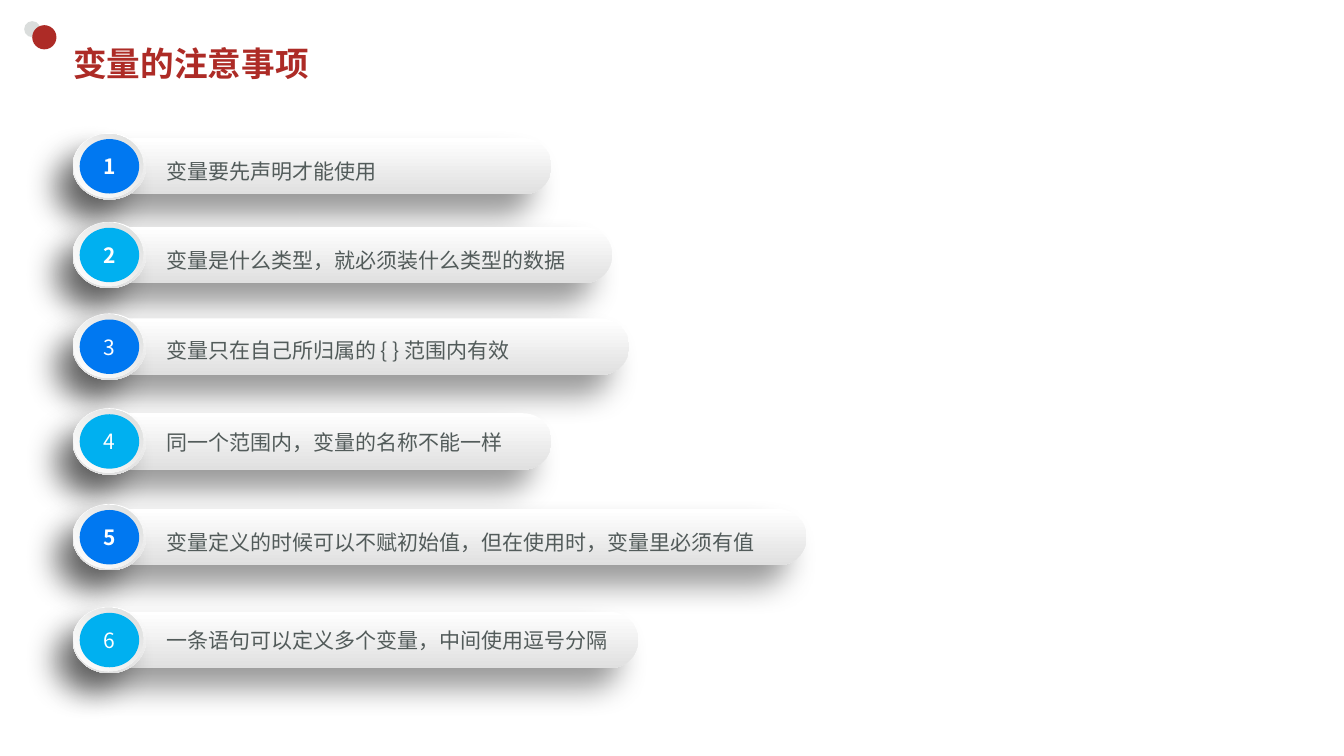
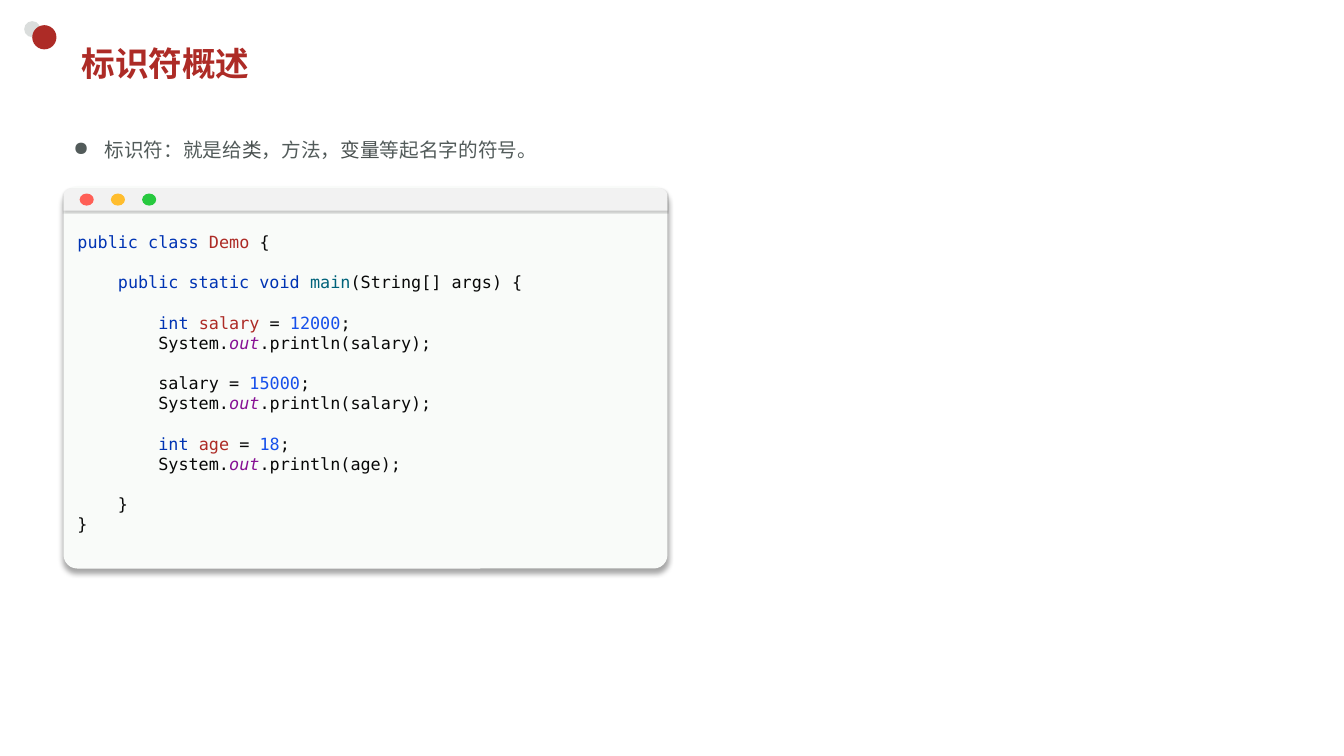
from lxml.etree import SubElement
from pptx import Presentation
from pptx.dml.color import RGBColor
from pptx.enum.lang import MSO_LANGUAGE_ID
from pptx.enum.shapes import MSO_SHAPE
from pptx.enum.text import MSO_ANCHOR, PP_ALIGN
from pptx.oxml.ns import qn
from pptx.util import Inches, Pt

RED = RGBColor(0xAD, 0x2B, 0x26)
DOT_GREY = RGBColor(0xDA, 0xDD, 0xDC)
WHITE = RGBColor(0xFF, 0xFF, 0xFF)
BAR_GREY = RGBColor(0xE0, 0xE0, 0xE0)
RING_GREY = RGBColor(0xDD, 0xDE, 0xDD)
BLUE = RGBColor(0x00, 0x78, 0xF1)
CYAN = RGBColor(0x00, 0xB0, 0xF0)
TEXT_GREY = RGBColor(0x52, 0x5B, 0x5A)
TERM_GREY = RGBColor(0x49, 0x50, 0x4F)
WINDOW = RGBColor(0xF9, 0xFB, 0xF9)
WINDOW_BAR = RGBColor(0xF2, 0xF2, 0xF2)
BUTTONS = [RGBColor(0xFF, 0x5F, 0x56), RGBColor(0xFF, 0xBD, 0x2E), RGBColor(0x27, 0xC9, 0x3F)]
CODE_INK = RGBColor(0x08, 0x08, 0x08)
KEYWORD = RGBColor(0x00, 0x33, 0xB3)
METHOD = RGBColor(0x00, 0x62, 0x7A)
NUMBER = RGBColor(0x17, 0x50, 0xEB)
FIELD = RGBColor(0x87, 0x10, 0x94)

MONO = "DejaVu Sans Mono"
SANS = "Noto Sans CJK JP"
MARGIN = 0.63

# Notes: text, bar top, bar width, text offset from bar top, bold number
NOTES = [
    ("变量要先声明才能使用", 1.37, 4.6, 0.15, True),
    ("变量是什么类型，就必须装什么类型的数据", 2.25, 5.2, 0.16, True),
    ("变量只在自己所归属的 { } 范围内有效", 3.16, 5.37, 0.14, False),
    ("同一个范围内，变量的名称不能一样", 4.1, 4.6, 0.11, False),
    ("变量定义的时候可以不赋初始值，但在使用时，变量里必须有值", 5.05, 7.13, 0.15, True),
    ("一条语句可以定义多个变量，中间使用逗号分隔", 6.07, 5.46, 0.11, False),
]

DEFINITION = [
    ("标识符：就是给", TEXT_GREY), ("类", TERM_GREY), ("，方法，", TEXT_GREY),
    ("变量", TERM_GREY), ("等起名字的符号。", TEXT_GREY),
]

# Code, with | between differently coloured pieces
CODE = """\
public class |Demo |{

    |public static void |main|(String[] args) {

        |int |salary| = |12000|;
        System.|out|.println(salary);

        salary = |15000|;
        System.|out|.println(salary);

        |int |age| = |18|;
        System.|out|.println(age);

    }
}"""
CODE_COLORS = {
    "public class": KEYWORD, "public static void": KEYWORD, "int": KEYWORD,
    "Demo": RED, "salary": RED, "age": RED, "main": METHOD, "out": FIELD,
    "12000": NUMBER, "15000": NUMBER, "18": NUMBER,
}


def add_runs(p, text, size=15, font=SANS, color=TEXT_GREY, bold=False, italic=False):
    """Add one formatted run to a paragraph."""
    r = p.add_run()
    r.text = text
    f = r.font
    f.size, f.name, f.bold, f.italic = Pt(size), font, bold, italic
    f.color.rgb = color
    f.language_id = MSO_LANGUAGE_ID.SIMPLIFIED_CHINESE
    SubElement(f._element, qn("a:ea")).set("typeface", SANS)


def add_text(shapes, box, text="", anchor=MSO_ANCHOR.TOP, **fmt):
    """Add a wrapped text box and return its first paragraph."""
    tf = shapes.add_textbox(*map(Inches, box)).text_frame
    tf.word_wrap = True
    tf.vertical_anchor = anchor
    p = tf.paragraphs[0]
    if text:
        add_runs(p, text, **fmt)
    return p


def add_shadow(sp, alpha, blur, dist, angle):
    effects = sp._element.spPr.find(qn("a:effectLst"))
    shadow = SubElement(effects, qn("a:outerShdw"), blurRad=str(Pt(blur)),
                        dist=str(Pt(dist)), dir=str(angle * 60000),
                        algn="ctr", rotWithShape="0")
    color = SubElement(shadow, qn("a:srgbClr"), val="000000")
    SubElement(color, qn("a:alpha"), val=str(alpha * 1000))


def add_shape(shapes, kind, box, fill, angle=270, adj=None, shadow=None):
    """Add an unlined shape; a pair of colours gives a gradient."""
    sp = shapes.add_shape(kind, *map(Inches, box))
    sp.shadow.inherit = False
    sp.line.fill.background()
    if isinstance(fill, list):
        sp.fill.gradient()
        sp.fill.gradient_angle = angle
        for stop, color in zip(sp.fill.gradient_stops, fill):
            stop.color.rgb = color
    else:
        sp.fill.solid()
        sp.fill.fore_color.rgb = fill
    if adj is not None:
        sp.adjustments[0] = adj
    if shadow:
        add_shadow(sp, *shadow)
    return sp


def add_slide(prs, title, indent=0):
    """Add a slide with the corner dots and the title."""
    s = prs.slides.add_slide(prs.slide_layouts[6])
    add_shape(s.shapes, MSO_SHAPE.OVAL, (0.24, 0.21, 0.16, 0.16), DOT_GREY)
    add_shape(s.shapes, MSO_SHAPE.OVAL, (0.32, 0.25, 0.24, 0.24), RED)
    add_text(s.shapes, (MARGIN + indent, 0.37, 11.74, 0.52), title,
             anchor=MSO_ANCHOR.MIDDLE, size=24, font=MONO, color=RED, bold=True)
    return s


def add_note(s, number, text, top, width, text_dy, bold):
    """Add one numbered bar."""
    shapes = s.shapes.add_group_shape().shapes
    soft = (40, 22, 20, 135)
    add_shape(shapes, MSO_SHAPE.ROUNDED_RECTANGLE, (0.87, top, width, 0.56),
              [WHITE, BAR_GREY], adj=0.5, shadow=soft)
    add_shape(shapes, MSO_SHAPE.OVAL, (0.72, top - 0.05, 0.73, 0.66),
              [WHITE, BAR_GREY], shadow=soft)
    add_shape(shapes, MSO_SHAPE.OVAL, (0.73, top - 0.04, 0.69, 0.63),
              [WHITE, RING_GREY], angle=45)
    disc = add_shape(shapes, MSO_SHAPE.OVAL, (0.79, top + 0.01, 0.59, 0.54),
                     BLUE if number % 2 else CYAN)
    disc.text_frame.vertical_anchor = MSO_ANCHOR.MIDDLE
    p = disc.text_frame.paragraphs[0]
    p.alignment = PP_ALIGN.CENTER
    add_runs(p, str(number), color=WHITE, bold=bold)
    add_text(shapes, (1.55, top + text_dy, width - 0.4, 0.35), text)


def add_definition(s):
    p = add_text(s.shapes, (MARGIN, 1.2, 5.36, 0.42))
    p.line_spacing = 1.5
    pPr = p._p.get_or_add_pPr()
    pPr.set("marL", str(Inches(0.31)))
    pPr.set("indent", str(-Inches(0.31)))
    SubElement(pPr, qn("a:buChar")).set("char", "●")
    for text, color in DEFINITION:
        add_runs(p, text, size=14, font=MONO, color=color)


def add_code_window(s):
    shapes = s.shapes.add_group_shape().shapes
    add_shape(shapes, MSO_SHAPE.ROUNDED_RECTANGLE, (MARGIN, 1.85, 5.99, 3.79),
              WINDOW, adj=0.036, shadow=(34, 4, 3, 90))
    add_shape(shapes, MSO_SHAPE.ROUND_2_SAME_RECTANGLE, (MARGIN, 1.87, 5.99, 0.22),
              WINDOW_BAR, adj=0.33, shadow=(20, 1, 1, 90))
    for i, color in enumerate(BUTTONS):
        add_shape(shapes, MSO_SHAPE.OVAL, (0.79 + 0.31 * i, 1.92, 0.14, 0.12), color)
    p = add_text(shapes, (0.67, 2.25, 5.91, 3.33))
    for i, line in enumerate(CODE.split("\n")):
        if i:
            p.add_line_break()
            br = p._p.findall(qn("a:br"))[-1]
            rPr = SubElement(br, qn("a:rPr"), sz="1200")
            SubElement(rPr, qn("a:latin")).set("typeface", MONO)
        for piece in filter(None, line.split("|")):
            color = CODE_COLORS.get(piece.strip(), CODE_INK)
            add_runs(p, piece, size=12, font=MONO, color=color, italic=color == FIELD)


def main():
    prs = Presentation()
    prs.slide_width, prs.slide_height = Inches(13.33), Inches(7.5)

    # Numbered notes
    s = add_slide(prs, "变量的注意事项")
    for number, note in enumerate(NOTES, 1):
        add_note(s, number, *note)

    # Definition and code
    s = add_slide(prs, "标识符概述", indent=0.08)
    add_definition(s)
    add_code_window(s)

    prs.save("out.pptx")


if __name__ == "__main__":
    main()
